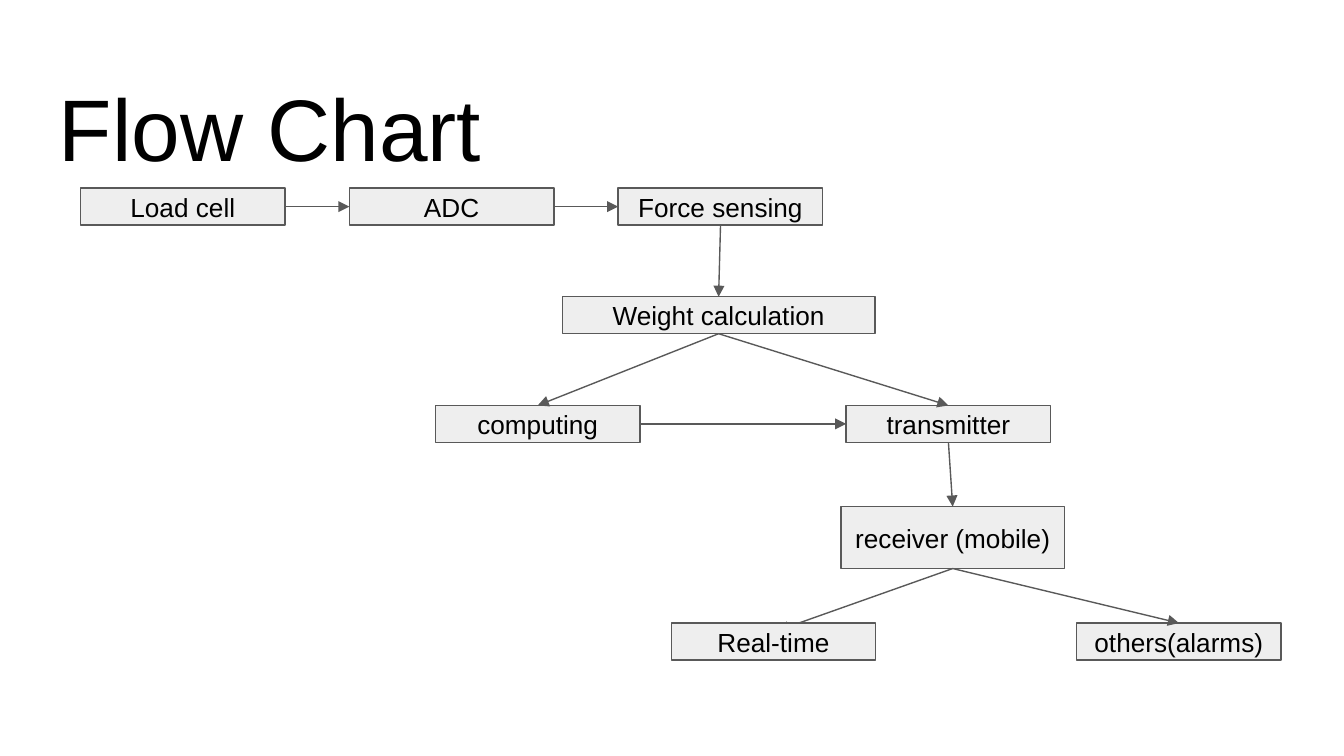
from lxml import etree
from pptx import Presentation
from pptx.dml.color import RGBColor
from pptx.enum.shapes import MSO_CONNECTOR, MSO_SHAPE
from pptx.enum.text import MSO_ANCHOR, PP_ALIGN
from pptx.oxml.ns import qn
from pptx.util import Pt

RECT = MSO_SHAPE.RECTANGLE
STRAIGHT = MSO_CONNECTOR.STRAIGHT
MIDDLE, TOP_TEXT = MSO_ANCHOR.MIDDLE, MSO_ANCHOR.TOP
CENTER, LEFT_TEXT = PP_ALIGN.CENTER, PP_ALIGN.LEFT

FONT = "Arial"
FILL, LINE, INK = "EEEEEE", "595959", "000000"
WIDE, HIGH = 109.6, 19.8
INSET = 7.2
TOP, LEFT, BOTTOM, RIGHT = range(4)  # connection sites of a rectangle

STEPS = [  # text, left, top, width, height
    ("Load cell", 43.2, 100.8, WIDE, HIGH),
    ("ADC", 187.2, 100.8, WIDE, HIGH),
    ("Force sensing", 331.2, 100.8, WIDE, HIGH),
    ("Weight calculation", 301.2, 159, 167.6, HIGH),
    ("computing", 233.3, 217.2, WIDE, HIGH),
    ("transmitter", 453.3, 217.2, WIDE, HIGH),
    ("receiver (mobile)", 450.6, 271.4, 119.6, 33.2),
    ("others(alarms)", 576.8, 333.8, WIDE, HIGH),
]
LAST = ("Real-time", 359.6, 333.8, WIDE, HIGH)
LINKS = [
    ("Load cell", RIGHT, "ADC", LEFT),
    ("ADC", RIGHT, "Force sensing", LEFT),
    ("Force sensing", BOTTOM, "Weight calculation", TOP),
    ("Weight calculation", BOTTOM, "computing", TOP),
    ("Weight calculation", BOTTOM, "transmitter", TOP),
    ("computing", RIGHT, "transmitter", LEFT),
    ("transmitter", BOTTOM, "receiver (mobile)", TOP),
    ("receiver (mobile)", BOTTOM, "others(alarms)", TOP),
]


def color(code):
    return RGBColor.from_string(code)


def write(shape, text, size, anchor, align, top=INSET):
    frame = shape.text_frame
    frame.word_wrap = True
    frame.vertical_anchor = anchor
    frame.margin_left = frame.margin_right = frame.margin_bottom = Pt(INSET)
    frame.margin_top = Pt(top)
    para = frame.paragraphs[0]
    para.alignment = align
    run = para.add_run()
    run.text = text
    run.font.name = FONT
    run.font.size = Pt(size)
    run.font.color.rgb = color(INK)


def stroke(line):
    line.color.rgb = color(LINE)
    line.width = Pt(0.75)


def add_title(slide, text):
    box = slide.shapes.add_textbox(Pt(24.5), Pt(28), Pt(671), Pt(45.4))
    write(box, text, 46.8, TOP_TEXT, LEFT_TEXT, top=12)


def add_step(slide, text, *place):
    box = slide.shapes.add_shape(RECT, *map(Pt, place))
    box.shadow.inherit = False
    box.fill.solid()
    box.fill.fore_color.rgb = color(FILL)
    stroke(box.line)
    write(box, text, 14, MIDDLE, CENTER)
    return box


def add_arrow(slide, start, exit_site, x=0, y=0):
    """Draw an arrow from a site of a step to a point."""
    arrow = slide.shapes.add_connector(STRAIGHT, 0, 0, Pt(x), Pt(y))
    arrow.begin_connect(start, exit_site)
    stroke(arrow.line)
    props = arrow.line._get_or_add_ln()
    etree.SubElement(props, qn("a:tailEnd"), type="triangle")
    etree.SubElement(arrow._element.spPr, qn("a:effectLst"))
    return arrow


def main():
    deck = Presentation()
    deck.slide_width, deck.slide_height = Pt(720), Pt(405)
    slide = deck.slides.add_slide(deck.slide_layouts[6])
    add_title(slide, "Flow Chart")
    steps = {step[0]: add_step(slide, *step) for step in STEPS}
    for start, leave, end, enter in LINKS:
        add_arrow(slide, steps[start], leave).end_connect(steps[end], enter)
    # This arrow ends inside the last step, which covers its head.
    add_arrow(slide, steps["receiver (mobile)"], BOTTOM, 416.9, 337.7)
    add_step(slide, *LAST)
    deck.save("out.pptx")


if __name__ == "__main__":
    main()
